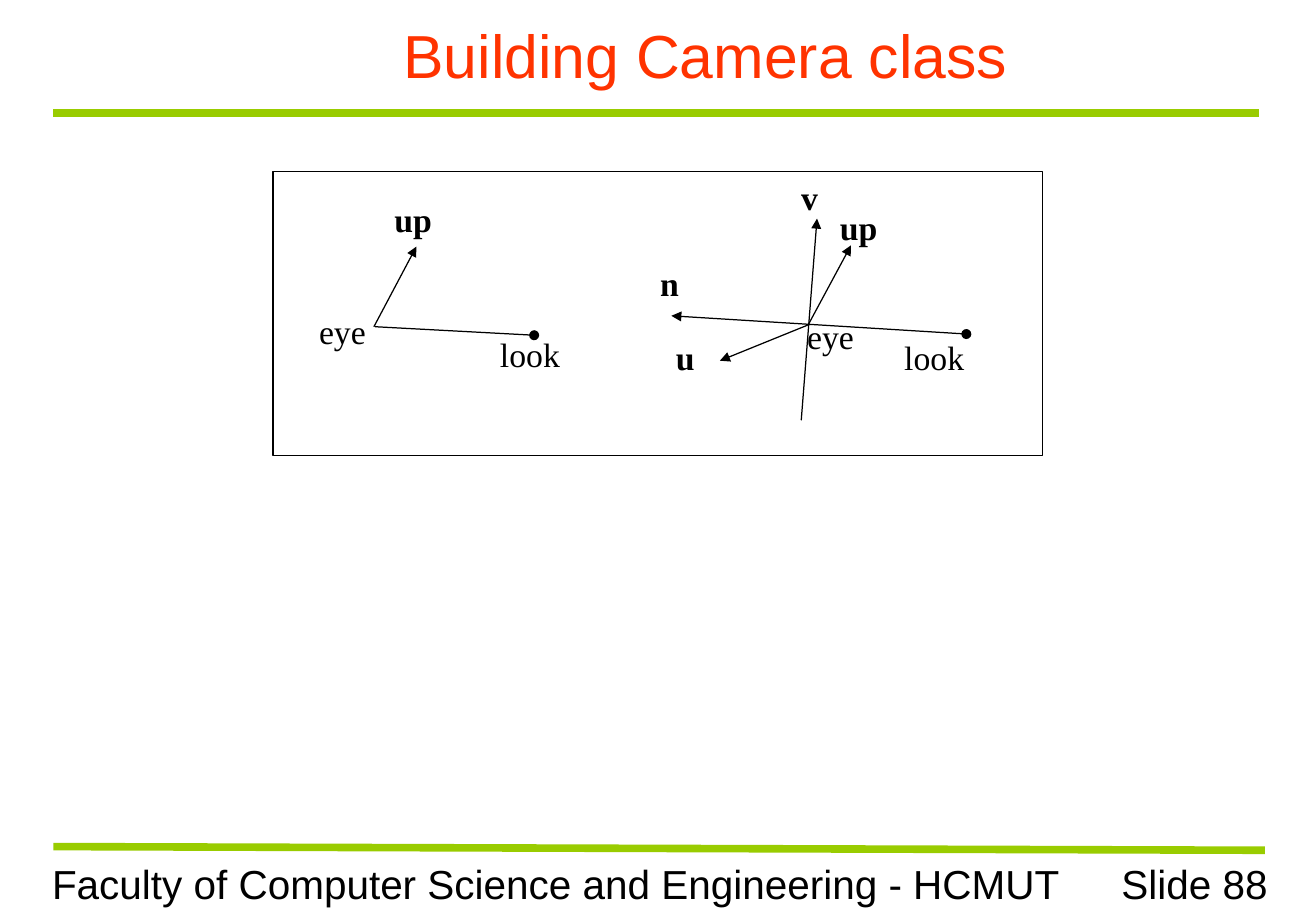
import pptx
import pptx.util
import pptx.dml.color
import pptx.enum.shapes
import pptx.enum.text
import pptx.oxml.xmlchemy
from dataclasses import dataclass

Inches = pptx.util.Inches
Align = pptx.enum.text.PP_ALIGN
Anchor = pptx.enum.text.MSO_ANCHOR
OxmlElement = pptx.oxml.xmlchemy.OxmlElement


@dataclass(frozen=True)
class Theme:
    ink: str = "000000"
    title: str = "FF3300"
    rule: str = "99CC00"
    sans: str = "Arial"
    serif: str = "Times New Roman"
    title_size: int = 36
    footer_size: int = 24
    label_size: int = 20
    rule_width: float = 4.5
    thin_width: float = 0.75


theme = Theme()
deck = pptx.Presentation()
deck.slide_width, deck.slide_height = Inches(10.84), Inches(7.5)
page = deck.slides.add_slide(deck.slide_layouts[6])


def add_text(text, left, top, width, height, size, face, color=theme.ink,
             bold=False, align=Align.LEFT, anchor=Anchor.TOP, indent=0.1):
    box = page.shapes.add_textbox(Inches(left), Inches(top), Inches(width), Inches(height))
    frame = box.text_frame
    frame.word_wrap = True
    frame.vertical_anchor = anchor
    frame.margin_left = Inches(indent)
    para = frame.paragraphs[0]
    para.text = text
    para.alignment = align
    para.font.size = pptx.util.Pt(size)
    para.font.name = face
    para.font.bold = bold
    para.font.color.rgb = pptx.dml.color.RGBColor.from_string(color)


def add_line(start, end, color=theme.ink, width=theme.thin_width, head=None, tail=None):
    line = page.shapes.add_connector(
        pptx.enum.shapes.MSO_CONNECTOR.STRAIGHT, *map(Inches, start + end))
    line.line.color.rgb = pptx.dml.color.RGBColor.from_string(color)
    line.line.width = pptx.util.Pt(width)
    outline = line.line._get_or_add_ln()
    for tag, kind in (("a:headEnd", head), ("a:tailEnd", tail)):
        if kind:
            marker = OxmlElement(tag)
            marker.set("type", kind)
            outline.append(marker)
    line._element.spPr.append(OxmlElement("a:effectLst"))


add_text("Slide 88", 8.55, 7.02, 1.99, 0.5, theme.footer_size, theme.sans, align=Align.RIGHT)
add_line((0.44, 0.93), (10.37, 0.93), theme.rule, theme.rule_width)
add_line((0.44, 6.97), (10.42, 7), theme.rule, theme.rule_width)
add_text("Faculty of Computer Science and Engineering - HCMUT",
         0.33, 7.02, 8.52, 0.5, theme.footer_size, theme.sans)
add_text("Building Camera class", 0.33, 0.1, 9.96, 0.7, theme.title_size, theme.sans,
         theme.title, align=Align.CENTER, anchor=Anchor.MIDDLE, indent=1.1)

panel = page.shapes.add_shape(pptx.enum.shapes.MSO_SHAPE.RECTANGLE,
                              Inches(2.25), Inches(1.41), Inches(6.34), Inches(2.34))
panel.shadow.inherit = False
panel.fill.background()
panel.line.color.rgb = pptx.dml.color.RGBColor.from_string(theme.ink)
panel.line.width = pptx.util.Pt(theme.thin_width)

vectors = [
    ((3.08, 2.69), (3.43, 2.03), None, "triangle"),
    ((3.09, 2.69), (4.4, 2.76), None, "oval"),
    ((6.6, 3.46), (6.73, 1.8), None, "triangle"),
    ((7.96, 2.75), (5.53, 2.6), "oval", "triangle"),
    ((6.66, 2.67), (7.01, 2.02), None, "triangle"),
    ((6.67, 2.67), (5.93, 2.97), None, "triangle"),
]
for start, end, head, tail in vectors:
    add_line(start, end, head=head, tail=tail)

labels = [
    ("up", 3.15, 1.59, True),
    ("up", 6.82, 1.65, True),
    ("v", 6.5, 1.41, True),
    ("n", 5.34, 2.11, True),
    ("u", 5.47, 2.72, True),
    ("eye", 2.53, 2.51, False),
    ("eye", 6.55, 2.55, False),
    ("look", 7.35, 2.72, False),
    ("look", 4.02, 2.7, False),
]
for text, left, top, bold in labels:
    add_text(text, left, top, 0.96, 0.62, theme.label_size, theme.serif, bold=bold)

deck.save("out.pptx")
